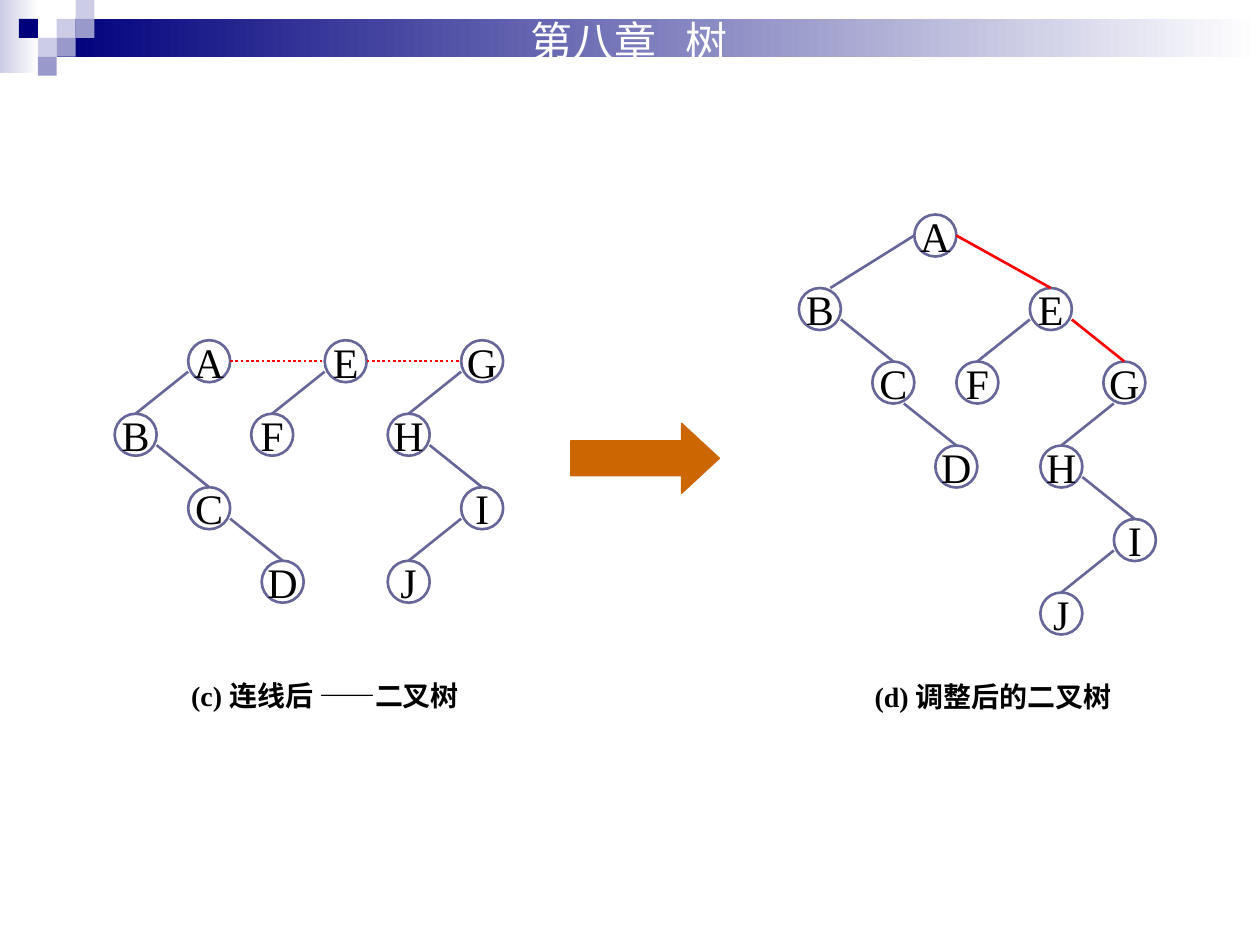
from dataclasses import dataclass

from lxml import etree
from pptx import Presentation
from pptx.dml.color import RGBColor
from pptx.enum.dml import MSO_LINE
from pptx.enum.shapes import MSO_CONNECTOR, MSO_SHAPE
from pptx.enum.text import MSO_ANCHOR, MSO_AUTO_SIZE, PP_ALIGN
from pptx.oxml.ns import qn
from pptx.util import Inches, Pt

RECTANGLE = MSO_SHAPE.RECTANGLE
OVAL = MSO_SHAPE.OVAL
RIGHT_ARROW = MSO_SHAPE.RIGHT_ARROW
STRAIGHT = MSO_CONNECTOR.STRAIGHT
DOTTED = MSO_LINE.ROUND_DOT
CENTER = PP_ALIGN.CENTER
LEFT = PP_ALIGN.LEFT
TOP = MSO_ANCHOR.TOP
MIDDLE = MSO_ANCHOR.MIDDLE
NO_AUTOFIT = MSO_AUTO_SIZE.NONE

WHITE = RGBColor(0xFF, 0xFF, 0xFF)
BLACK = RGBColor(0x00, 0x00, 0x00)
NAVY = RGBColor(0x00, 0x00, 0x7D)
LAVENDER = RGBColor(0xCC, 0xCC, 0xE6)
PERIWINKLE = RGBColor(0x99, 0x99, 0xCC)
SLATE = RGBColor(0x66, 0x66, 0x99)
RED = RGBColor(0xFF, 0x00, 0x00)
ORANGE = RGBColor(0xCC, 0x66, 0x00)

LATIN_FONT = "Times New Roman"
CHINESE_FONT = "Noto Sans CJK SC"
WIDTH, HEIGHT = Inches(10), Inches(7.5)
HEADER_CELL = Inches(0.15)
TREE_CELL = Inches(1) / 12
NODE_CELLS = 4

LEFT_LOW, RIGHT_LOW = (0, 3), (4, 3)
LEFT_MIDDLE, RIGHT_MIDDLE = (0, 2), (4, 2)
BOTTOM_LEFT, BOTTOM_RIGHT = (1, 4), (3, 4)
TOP_CENTER, TOP_RIGHT = (2, 0), (3, 0)


@dataclass
class Edge:
    ends: str
    start: tuple[int, int]
    finish: tuple[int, int] = TOP_CENTER
    color: RGBColor = SLATE
    dotted: bool = False


@dataclass
class Tree:
    left: float
    top: float
    nodes: dict[str, tuple[int, int]]
    edges: list[Edge]

    def point(self, column: int, row: int) -> tuple[int, int]:
        return (round(self.left * WIDTH + column * TREE_CELL),
                round(self.top * HEIGHT + row * TREE_CELL))


@dataclass
class Caption:
    text: str
    left: float
    top: float


HEADER_SQUARES = [
    (3, 1, LAVENDER), (4, 0, LAVENDER), (4, 1, PERIWINKLE), (2, 2, LAVENDER),
    (1, 1, NAVY), (3, 2, PERIWINKLE), (2, 3, PERIWINKLE),
]

TREES = [
    Tree(0.091, 0.36,
         {"A": (7, 0), "B": (0, 7), "C": (7, 14), "D": (14, 21), "E": (20, 0),
          "F": (13, 7), "G": (33, 0), "H": (26, 7), "I": (33, 14), "J": (26, 21)},
         [Edge("AB", LEFT_LOW), Edge("BC", RIGHT_LOW), Edge("CD", RIGHT_LOW),
          Edge("EF", LEFT_LOW), Edge("GH", LEFT_LOW), Edge("HI", RIGHT_LOW),
          Edge("IJ", LEFT_LOW),
          Edge("AE", RIGHT_MIDDLE, LEFT_MIDDLE, RED, True),
          Edge("EG", RIGHT_MIDDLE, LEFT_MIDDLE, RED, True)]),
    Tree(0.634, 0.227,
         {"A": (11, 0), "B": (0, 7), "C": (7, 14), "D": (13, 22), "E": (22, 7),
          "F": (15, 14), "G": (29, 14), "H": (23, 22), "I": (30, 29), "J": (23, 36)},
         [Edge("AB", LEFT_MIDDLE, TOP_RIGHT), Edge("BC", RIGHT_LOW),
          Edge("CD", BOTTOM_RIGHT), Edge("EF", LEFT_LOW), Edge("GH", BOTTOM_LEFT),
          Edge("HI", RIGHT_LOW), Edge("IJ", LEFT_LOW),
          Edge("AE", RIGHT_MIDDLE, color=RED), Edge("EG", RIGHT_LOW, color=RED)]),
]

CAPTIONS = [
    Caption("(c) 连线后 ——二叉树", 0.137, 0.711),
    Caption("(d) 调整后的二叉树", 0.667, 0.712),
]


def style_text(paragraph, size: int, font_name: str, color: RGBColor, bold=False) -> None:
    font = paragraph.font
    font.size, font.name, font.bold = Pt(size), font_name, bold
    font.color.rgb = color
    for run in paragraph.runs:
        east_asian = etree.SubElement(run._r.get_or_add_rPr(), qn("a:ea"))
        east_asian.set("typeface", CHINESE_FONT)


def add_header_block(shapes, column: float, row: float, columns: float, rows: float):
    lengths = [round(cells * HEADER_CELL) for cells in (column, row, columns, rows)]
    shape = shapes.add_shape(RECTANGLE, *lengths)
    shape.shadow.inherit = False
    shape.line.fill.background()
    return shape


def add_header_gradient(shapes, cells: tuple, start: RGBColor) -> None:
    fill = add_header_block(shapes, *cells).fill
    fill.gradient()
    fill.gradient_angle = 0
    for stop, color in zip(fill.gradient_stops, (start, WHITE)):
        stop.color.rgb = color


def add_header(shapes) -> None:
    add_header_gradient(shapes, (0, 0, 2.05, 3.87), LAVENDER)
    add_header_gradient(shapes, (3, 1, WIDTH / HEADER_CELL - 3, 2), NAVY)
    for column, row, color in HEADER_SQUARES:
        fill = add_header_block(shapes, column, row, 1, 1).fill
        fill.solid()
        fill.fore_color.rgb = color


def add_title(slide) -> None:
    title = slide.shapes.title
    title.left, title.top = round(0.411 * WIDTH), round(0.01 * HEIGHT)
    title.width, title.height = round(0.242 * WIDTH), round(0.067 * HEIGHT)
    frame = title.text_frame
    frame.auto_size, frame.vertical_anchor = NO_AUTOFIT, TOP
    paragraph = frame.paragraphs[0]
    paragraph.alignment = LEFT
    for text in ("第八章", " ", "树"):
        paragraph.add_run().text = text
    paragraph.runs[1]._r.get_or_add_rPr().set("spc", "1100")
    style_text(paragraph, 24, CHINESE_FONT, WHITE)
    slide.shapes._spTree.append(title._element)


def add_node(shapes, tree: Tree, name: str) -> None:
    size = round(NODE_CELLS * TREE_CELL)
    shape = shapes.add_shape(OVAL, *tree.point(*tree.nodes[name]), size, size)
    shape.shadow.inherit = False
    shape.fill.solid()
    shape.fill.fore_color.rgb = WHITE
    shape.line.color.rgb = SLATE
    shape.line.width = Pt(1.5)
    frame = shape.text_frame
    frame.word_wrap, frame.vertical_anchor = False, MIDDLE
    paragraph = frame.paragraphs[0]
    paragraph.text, paragraph.alignment = name, CENTER
    style_text(paragraph, 24, LATIN_FONT, BLACK)


def add_edge(shapes, tree: Tree, edge: Edge) -> None:
    points = []
    for name, anchor in zip(edge.ends, (edge.start, edge.finish)):
        column, row = tree.nodes[name]
        points += tree.point(column + anchor[0], row + anchor[1])
    connector = shapes.add_connector(STRAIGHT, *points)
    connector.line.color.rgb = edge.color
    connector.line.width = Pt(1.5)
    if edge.dotted:
        connector.line.dash_style = DOTTED
    etree.SubElement(connector._element.spPr, qn("a:effectLst"))


def add_tree(slide, tree: Tree) -> None:
    shapes = slide.shapes.add_group_shape().shapes
    for name in tree.nodes:
        add_node(shapes, tree, name)
    for edge in tree.edges:
        add_edge(shapes, tree, edge)


def add_caption(slide, caption: Caption) -> None:
    box = slide.shapes.add_textbox(
        round(caption.left * WIDTH), round(caption.top * HEIGHT),
        round(0.242 * WIDTH), round(0.05 * HEIGHT))
    box.text_frame.word_wrap = True
    paragraph = box.text_frame.paragraphs[0]
    paragraph.text, paragraph.alignment = caption.text, CENTER
    style_text(paragraph, 16, LATIN_FONT, BLACK, bold=True)


def add_arrow(slide) -> None:
    arrow = slide.shapes.add_shape(
        RIGHT_ARROW, round(0.453 * WIDTH), round(0.448 * HEIGHT),
        round(0.118 * WIDTH), round(0.074 * HEIGHT))
    arrow.adjustments[0], arrow.adjustments[1] = 0.5, 0.54
    arrow.shadow.inherit = False
    arrow.fill.solid()
    arrow.fill.fore_color.rgb = ORANGE
    arrow.line.color.rgb = ORANGE
    arrow.line.width = Pt(0.75)


def main() -> None:
    presentation = Presentation()
    presentation.slide_width, presentation.slide_height = WIDTH, HEIGHT
    slide = presentation.slides.add_slide(presentation.slide_layouts[5])
    add_header(slide.shapes.add_group_shape().shapes)
    add_title(slide)
    for tree in TREES:
        add_tree(slide, tree)
    for caption in CAPTIONS:
        add_caption(slide, caption)
    add_arrow(slide)
    presentation.save("out.pptx")


if __name__ == "__main__":
    main()
